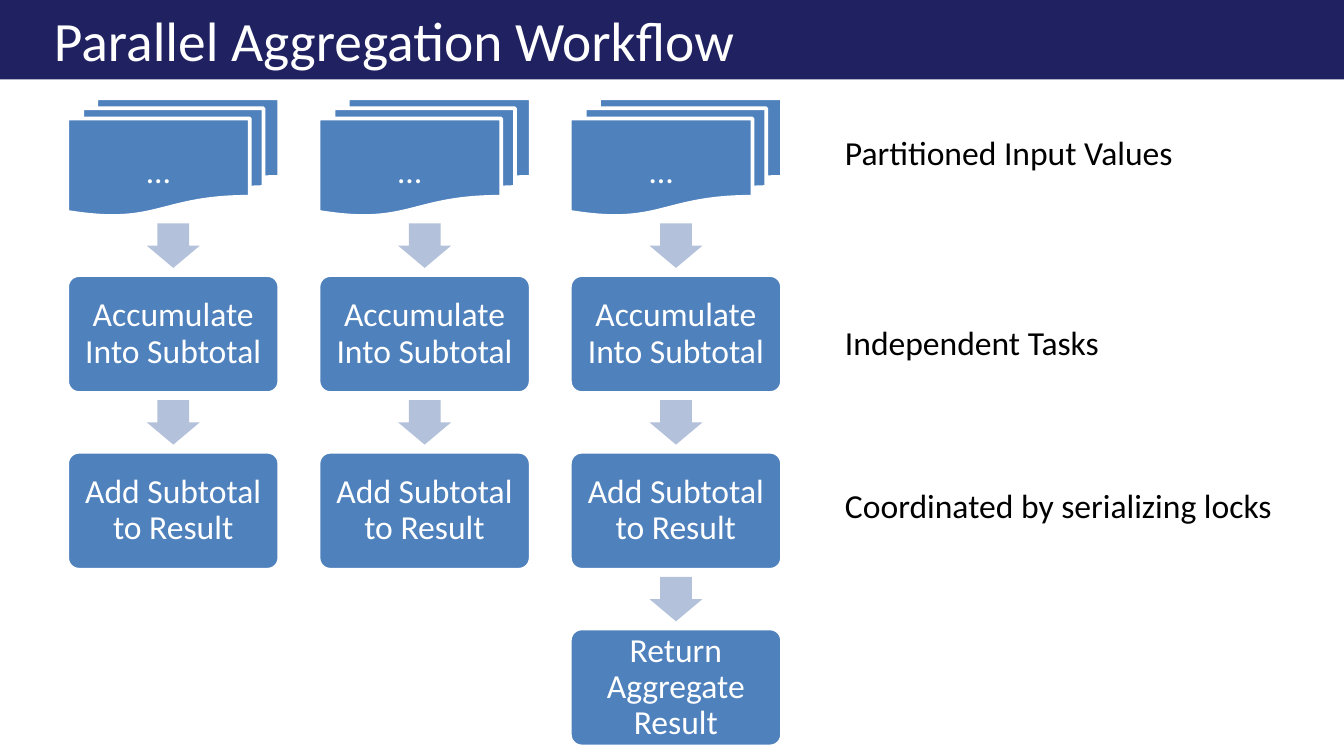
from dataclasses import dataclass

from pptx import Presentation
from pptx.dml.color import RGBColor as Rgb
from pptx.enum import shapes, text
from pptx.util import Cm, Pt

Kind = shapes.MSO_SHAPE
Align = text.PP_ALIGN
Anchor = text.MSO_ANCHOR
Fit = text.MSO_AUTO_SIZE


@dataclass(frozen=True)
class Theme:
    """Colours, font and type sizes of the deck."""
    navy: str = "1F2160"
    blue: str = "4F81BD"
    pale: str = "B3C1DB"
    white: str = "FFFFFF"
    black: str = "000000"
    font: str = "Calibri"
    head: float = 29.7
    body: float = 18


THEME = Theme()
LEFT, TOP = 1.27, 1.86
WIDE, HIGH = 4.01, 2.23
STEP, DROP = 4.75, 3.34
PAD = 0.18
STAGES = ["…", "Accumulate Into Subtotal", "Add Subtotal to Result"]
FINAL = "Return Aggregate Result"
NOTES = [
    ("Partitioned Input Values", 2.36, 6.78),
    ("Independent Tasks", 5.97, 5.36),
    ("Coordinated by serializing locks", 9.04, 8.69),
]


def apply(item, form):
    """Set each attribute named in a dict of format values."""
    for name, value in form.items():
        setattr(item, name, value)


def paint(shape, fill, line=None):
    """Give a shape a flat fill and an optional outline."""
    shape.shadow.inherit = False
    shape.fill.solid()
    shape.fill.fore_color.rgb = Rgb.from_string(fill)
    if line:
        shape.line.color.rgb = Rgb.from_string(line)
        shape.line.width = Pt(2)
    else:
        shape.line.fill.background()


def write(shape, words, size, color, frame, para):
    """Put one formatted paragraph into a shape."""
    body = shape.text_frame
    body.text = words
    apply(body, frame)
    first = body.paragraphs[0]
    apply(first, para)
    font = first.runs[0].font
    apply(font, {"name": THEME.font, "size": Pt(size)})
    font.color.rgb = Rgb.from_string(color)


def title(slide, words, box):
    """Turn the title placeholder into the top band."""
    shape = slide.shapes.title
    apply(shape, dict(zip(("left", "top", "width", "height"), map(Cm, box))))
    paint(shape, THEME.navy)
    frame = {"vertical_anchor": Anchor.MIDDLE, "auto_size": Fit.NONE,
             "margin_left": Cm(1.02), "word_wrap": True}
    write(shape, words, THEME.head, THEME.white, frame,
          {"alignment": Align.LEFT})


def card(parts, words, box, stack=False):
    """Draw a step as a rounded card or a stack of documents."""
    kind = Kind.FLOWCHART_MULTIDOCUMENT if stack else Kind.ROUNDED_RECTANGLE
    shape = parts.add_shape(kind, *map(Cm, box))
    if not stack:
        shape.adjustments[0] = 0.1
    paint(shape, THEME.blue, THEME.white)
    frame = {"margin_" + side: Cm(PAD) for side in ("left", "right", "bottom")}
    frame.update(margin_top=Cm(0.46 if stack else PAD), word_wrap=True,
                 vertical_anchor=Anchor.MIDDLE)
    write(shape, words, THEME.body, THEME.white, frame,
          {"alignment": Align.CENTER, "line_spacing": 0.9})


def arrow(parts, box):
    """Centre a downward arrow in the gap under a card."""
    left, top, wide, high = box
    long, broad = 0.84, 1.0
    x = left + (wide - long) / 2
    y = top + (high + DROP - broad) / 2
    shape = parts.add_shape(Kind.RIGHT_ARROW, *map(Cm, (x, y, long, broad)))
    shape.rotation = 90
    shape.adjustments[0] = 0.6
    paint(shape, THEME.pale)


def column(slide, steps, box):
    """Stack the steps of one task downward with arrows between."""
    parts = slide.shapes.add_group_shape().shapes
    left, top, wide, high = box
    for row, words in enumerate(steps):
        spot = (left, top + row * DROP, wide, high)
        card(parts, words, spot, stack=row == 0)
        if row < len(steps) - 1:
            arrow(parts, spot)


def note(slide, words, box):
    """Label a row of the flow."""
    shape = slide.shapes.add_textbox(*map(Cm, box))
    frame = {"word_wrap": False, "auto_size": Fit.SHAPE_TO_FIT_TEXT}
    write(shape, words, THEME.body, THEME.black, frame,
          {"alignment": Align.LEFT})


def main():
    """Build and save the deck."""
    deck = Presentation()
    apply(deck, {"slide_width": Cm(25.4), "slide_height": Cm(14.29)})
    slide = deck.slides.add_slide(deck.slide_layouts[5])
    title(slide, "Parallel Aggregation Workflow", (0, 0, 25.4, 1.5))
    for col in range(3):
        steps = STAGES + [FINAL] if col == 2 else STAGES
        column(slide, steps, (LEFT + col * STEP, TOP, WIDE, HIGH))
    for words, top, wide in NOTES:
        note(slide, words, (15.72, top, wide, 1.02))
    deck.save("out.pptx")


if __name__ == "__main__":
    main()
